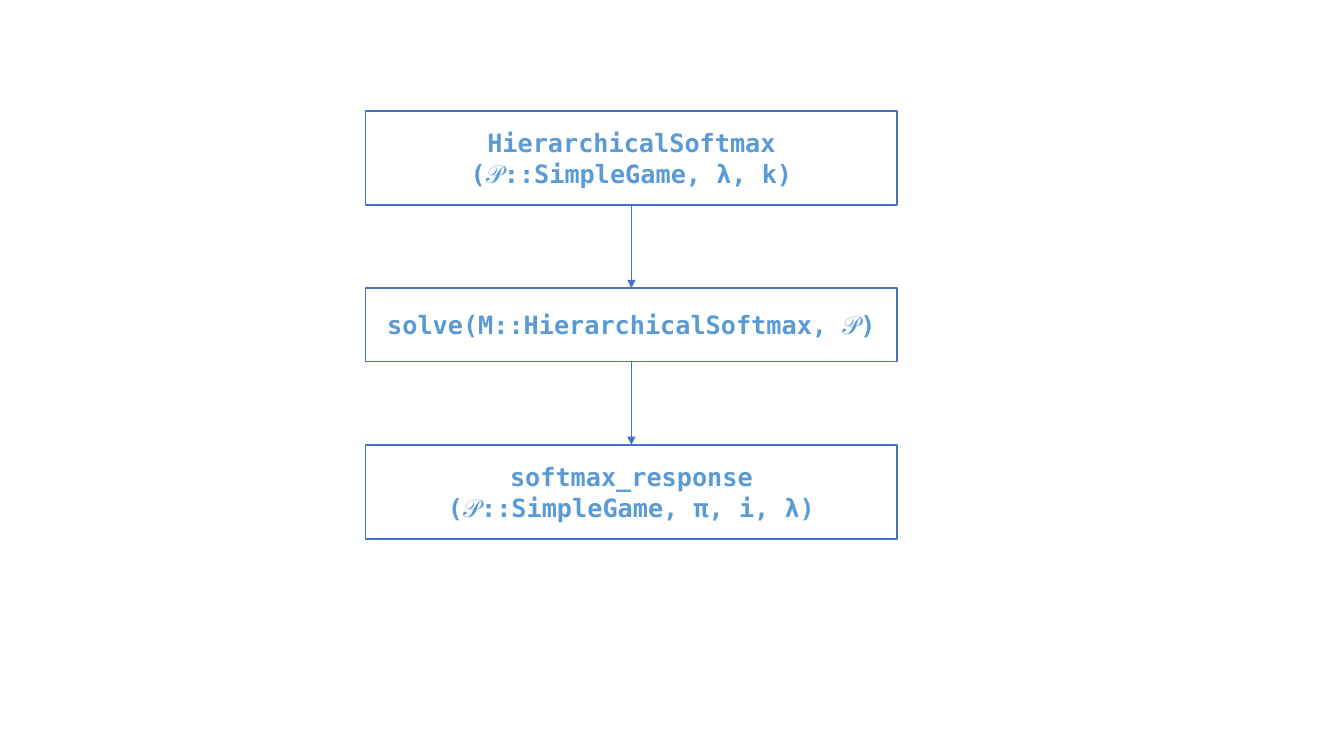
from itertools import pairwise

from lxml.etree import SubElement
from pptx import Presentation
from pptx.dml.color import RGBColor
from pptx.enum.shapes import MSO_CONNECTOR, MSO_SHAPE
from pptx.enum.text import MSO_ANCHOR, PP_ALIGN
from pptx.oxml.ns import qn
from pptx.util import Pt

COLORS = {"fill": "FFFFFF", "line": "4472C4", "text": "5B9BD5"}


class FlowSlide:
    font = "DejaVu Sans Mono"
    size = 18

    def __init__(self, prs):
        self.s = prs.slides.add_slide(prs.slide_layouts[6])

    def color(self, name):
        return RGBColor.from_string(COLORS[name])

    def box(self, text, left, top, width, height):
        sp = self.s.shapes.add_shape(
            MSO_SHAPE.RECTANGLE, Pt(left), Pt(top), Pt(width), Pt(height))
        sp.shadow.inherit = False
        sp.fill.solid()
        sp.fill.fore_color.rgb = self.color("fill")
        sp.line.color.rgb = self.color("line")
        sp.line.width = Pt(1)
        tf = sp.text_frame
        tf.word_wrap = True
        tf.vertical_anchor = MSO_ANCHOR.MIDDLE
        p = tf.paragraphs[0]
        p.text = text
        p.alignment = PP_ALIGN.CENTER
        p.font.name = self.font
        p.font.size = Pt(self.size)
        p.font.bold = True
        p.font.color.rgb = self.color("text")
        return sp

    def arrow(self, upper, lower):
        cxn = self.s.shapes.add_connector(MSO_CONNECTOR.STRAIGHT, 0, 0, 0, 0)
        cxn.begin_connect(upper, 2)
        cxn.end_connect(lower, 0)
        cxn.line.color.rgb = self.color("line")
        cxn.line.width = Pt(0.5)
        SubElement(cxn.line._get_or_add_ln(), qn("a:tailEnd"), type="triangle")
        SubElement(cxn._element.spPr, qn("a:effectLst"))


def main():
    prs = Presentation()
    prs.slide_width, prs.slide_height = Pt(960), Pt(540)
    flow = FlowSlide(prs)

    # Call chain: text and box height, from top to bottom
    steps = [
        ("HierarchicalSoftmax\v(𝒫::SimpleGame, λ, k)", 67.2),
        ("solve(M::HierarchicalSoftmax, 𝒫)", 52.6),
        ("softmax_response\v(𝒫::SimpleGame, π, i, λ)", 67.2),
    ]
    left, top, width, gap = 261.2, 79.2, 379.6, 59.4
    boxes = []
    for text, height in steps:
        boxes.append(flow.box(text, left, top, width, height))
        top += height + gap

    # Arrows between neighbouring boxes
    for upper, lower in pairwise(boxes):
        flow.arrow(upper, lower)

    prs.save("out.pptx")


if __name__ == "__main__":
    main()
